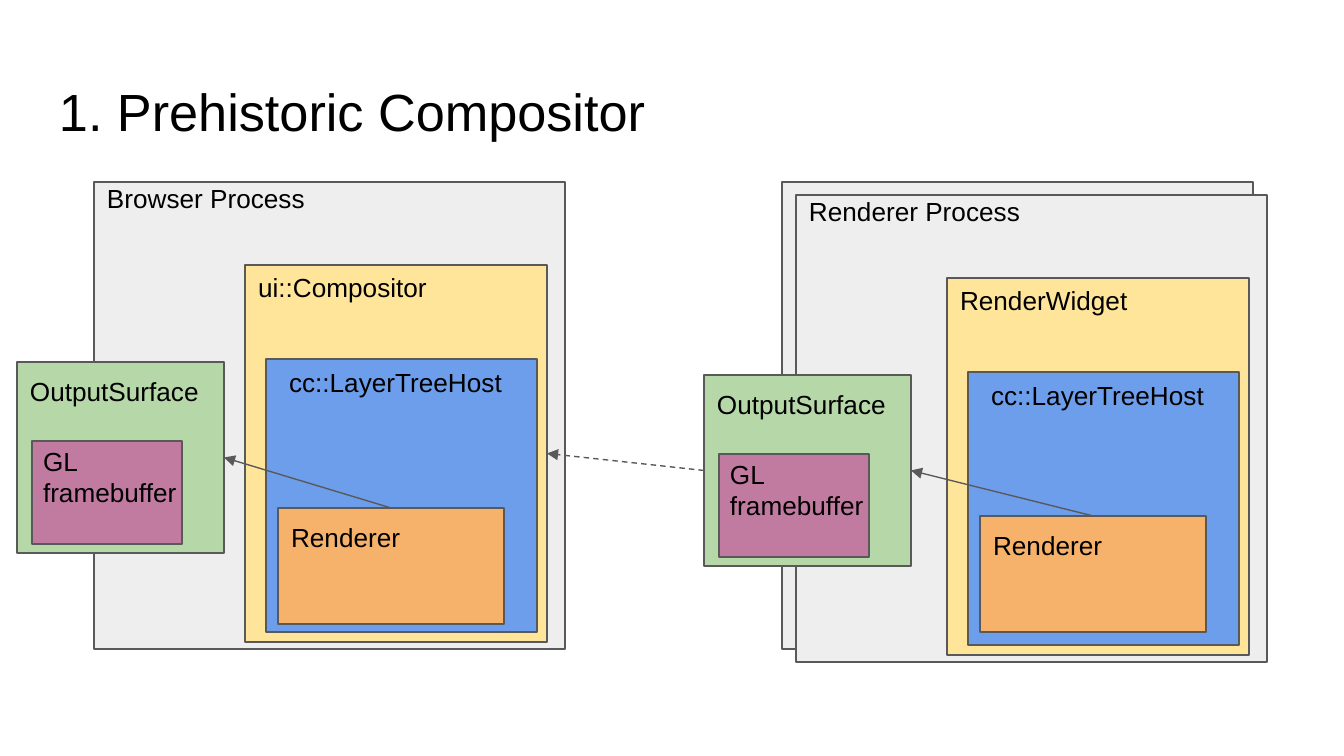
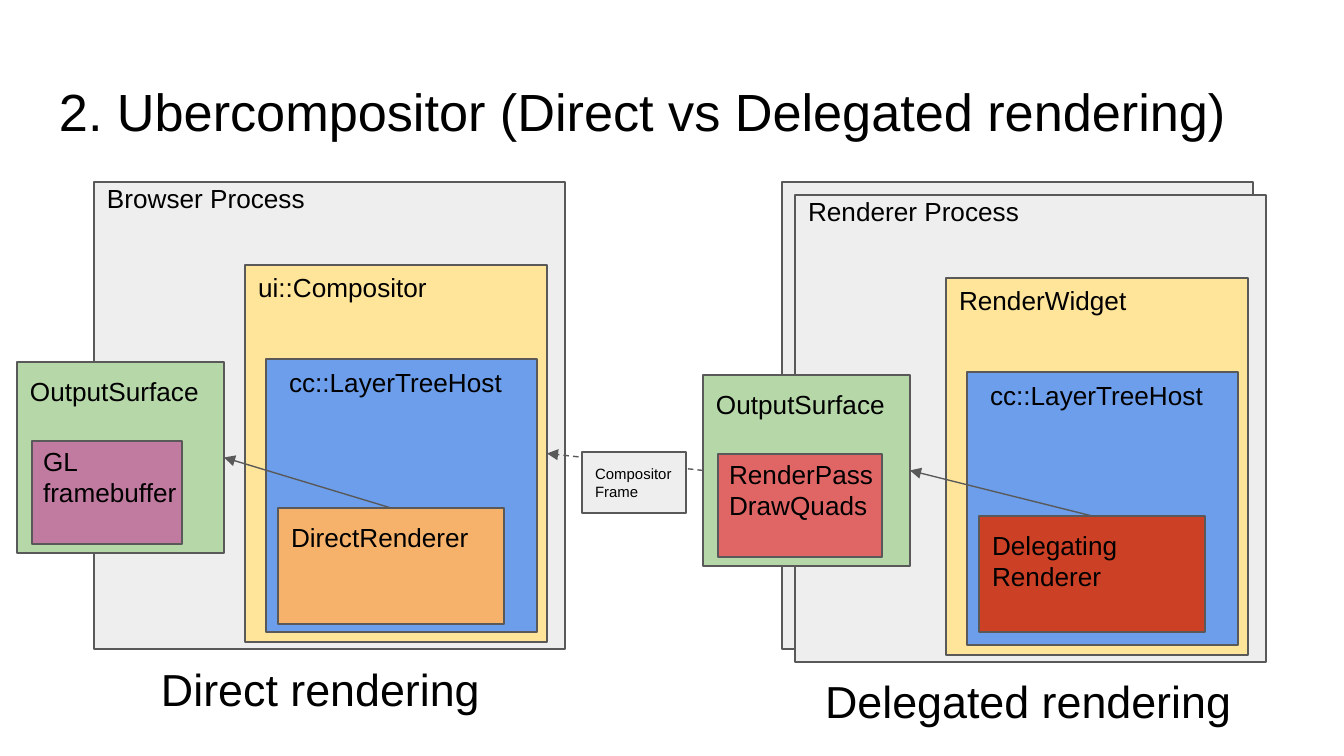
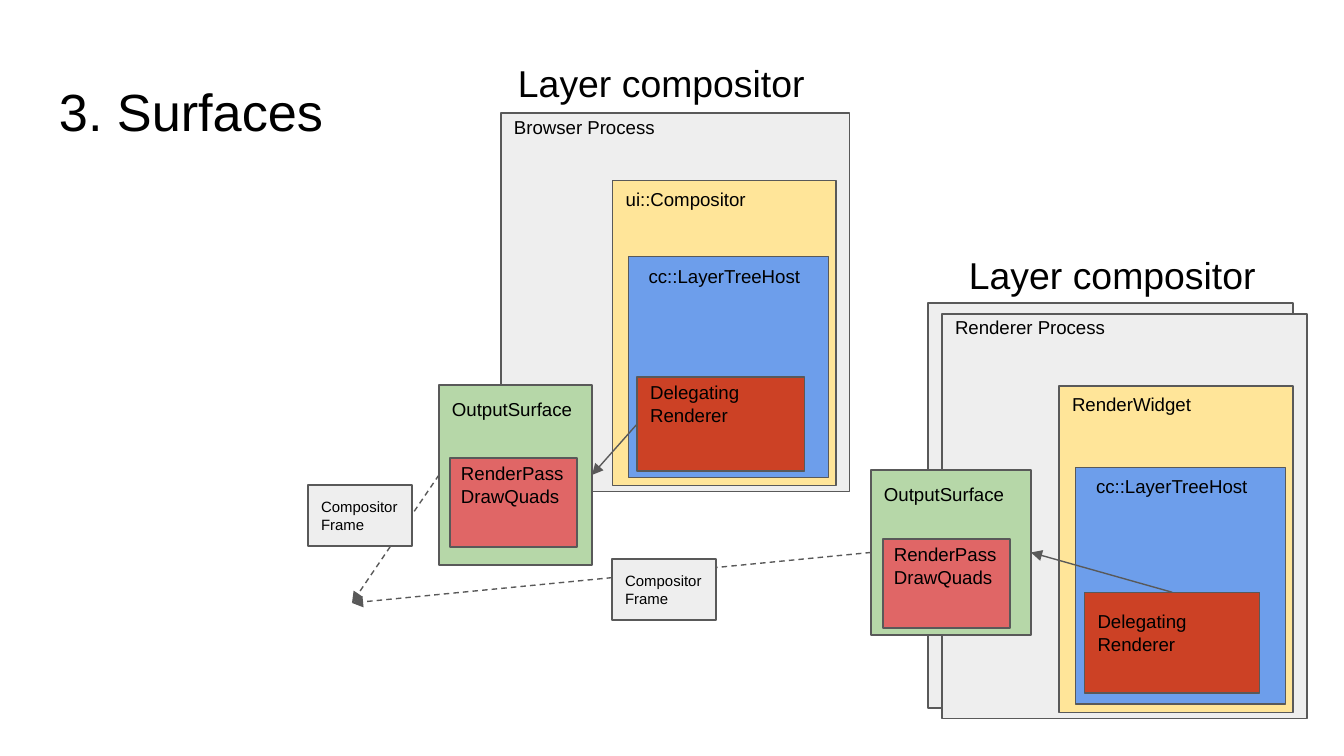
from lxml.etree import SubElement
from pptx import Presentation
from pptx.dml.color import RGBColor
from pptx.enum.dml import MSO_LINE
from pptx.enum.shapes import MSO_CONNECTOR, MSO_SHAPE
from pptx.enum.text import MSO_ANCHOR, MSO_AUTO_SIZE, PP_ALIGN
from pptx.oxml.ns import qn
from pptx.util import Emu, Pt

EMU_PER_PIXEL = 914400 / 134.4
INSET = 13
FONT = "Arial"

BLACK = RGBColor(0x00, 0x00, 0x00)
OUTLINE = RGBColor(0x59, 0x59, 0x59)
GRAY = RGBColor(0xEE, 0xEE, 0xEE)
YELLOW = RGBColor(0xFF, 0xE5, 0x99)
BLUE = RGBColor(0x6D, 0x9E, 0xEB)
GREEN = RGBColor(0xB6, 0xD7, 0xA8)
PURPLE = RGBColor(0xC2, 0x7B, 0xA0)
ORANGE = RGBColor(0xF6, 0xB2, 0x6B)
PINK = RGBColor(0xE0, 0x66, 0x66)
RED = RGBColor(0xCC, 0x41, 0x25)

TOP, LEFT, RIGHT = 0, 1, 3
PROCESS_SIZE = (471, 467)
FRAMEBUFFER = ("GL framebuffer", PURPLE)
QUADS = ("RenderPass\nDrawQuads", PINK)
DELEGATING = ("Delegating\nRenderer", RED)


def px(length):
    return Emu(round(length * EMU_PER_PIXEL))


def write(shape, text, size, anchor=MSO_ANCHOR.TOP, top=INSET):
    frame = shape.text_frame
    frame.word_wrap = True
    frame.auto_size = MSO_AUTO_SIZE.NONE
    frame.vertical_anchor = anchor
    frame.margin_left = frame.margin_right = frame.margin_bottom = px(INSET)
    frame.margin_top = px(top)
    frame.text = text
    for paragraph in frame.paragraphs:
        paragraph.alignment = PP_ALIGN.LEFT
        paragraph.font.name = FONT
        paragraph.font.size = Pt(size)
        paragraph.font.color.rgb = BLACK


def add_page(deck, title):
    page = deck.slides.add_slide(deck.slide_layouts[5])
    box = page.shapes.title
    box.left, box.top, box.width, box.height = map(px, (46, 66, 1252, 85))
    write(box, title, 28)
    return page


def add_panel(page, place, color):
    panel = page.shapes.add_shape(MSO_SHAPE.RECTANGLE, *map(px, place))
    panel.shadow.inherit = False
    panel.fill.solid()
    panel.fill.fore_color.rgb = color
    panel.line.color.rgb = OUTLINE
    panel.line.width = Pt(0.75)
    return panel


def add_label(page, place, text, size):
    write(page.shapes.add_textbox(*map(px, place)), text, size)


def add_arrow(page, source, source_site, target, target_site=None, dashed=False):
    end = (0, 0) if target_site is not None else map(px, target)
    arrow = page.shapes.add_connector(MSO_CONNECTOR.STRAIGHT, 0, 0, *end)
    arrow.begin_connect(source, source_site)
    if target_site is not None:
        arrow.end_connect(target, target_site)
    arrow.line.color.rgb = OUTLINE
    arrow.line.width = Pt(0.75)
    if dashed:
        arrow.line.dash_style = MSO_LINE.DASH
    SubElement(arrow.line._get_or_add_ln(), qn("a:tailEnd"), type="triangle")
    SubElement(arrow._element.spPr, qn("a:effectLst"))


def add_process(page, origin, names, renderer, renderer_top, scale=(1, 1), size=14, text_top=INSET):
    def place(x, y, width, height):
        return (origin[0] + x * scale[0], origin[1] + y * scale[1],
                width * scale[0], height * scale[1])

    process_name, owner_name = names
    renderer_name, renderer_color = renderer
    add_panel(page, place(0, 0, *PROCESS_SIZE), GRAY)
    add_label(page, place(0, -13, 453, 58), process_name, size)
    owner = add_panel(page, place(151, 83, 302, 377), YELLOW)
    add_label(page, place(151, 76, 302, 50), owner_name, size)
    add_panel(page, place(172, 177, 271, 273), BLUE)
    add_label(page, place(182, 171, 262, 70), "cc::LayerTreeHost", size)
    box = add_panel(page, place(184, renderer_top, 226, 116), renderer_color)
    write(box, renderer_name, size, top=text_top)
    return owner, box


def add_output(page, place, inner_place, content, size=14):
    text, color = content
    left, top, width, _ = place
    surface = add_panel(page, place, GREEN)
    add_label(page, (left, top, width, 70), "OutputSurface", size)
    add_panel(page, inner_place, color)
    inner_left, inner_top, _, inner_height = inner_place
    label_width = 175 if size == 14 else 134
    add_label(page, (inner_left - 2, inner_top - 9, label_width, inner_height - 17), text, size)
    return surface


def add_frame_card(page, left, top):
    card = add_panel(page, (left, top, 104, 61), GRAY)
    write(card, "CompositorFrame", 8, MSO_ANCHOR.MIDDLE)


def add_process_pair(page, renderer_left, browser_renderer, remote_renderer, remote_content, inner_width):
    add_panel(page, (782, 182, *PROCESS_SIZE), GRAY)
    compositor, local = add_process(
        page, (94, 182), ("Browser Process", "ui::Compositor"), browser_renderer, 326)
    _, remote = add_process(
        page, (renderer_left, 195), ("Renderer Process", "RenderWidget"), remote_renderer, 321)
    local_output = add_output(page, (17, 362, 207, 191), (32, 441, 150, 103), FRAMEBUFFER)
    output_left = renderer_left - 92
    remote_output = add_output(
        page, (output_left, 375, 207, 191), (output_left + 15, 454, inner_width, 103), remote_content)
    add_arrow(page, local, TOP, local_output, RIGHT)
    add_arrow(page, remote, TOP, remote_output, RIGHT)
    add_arrow(page, remote_output, LEFT, compositor, RIGHT, dashed=True)


def add_prehistoric(deck):
    page = add_page(deck, "1. Prehistoric Compositor")
    renderer = ("Renderer", ORANGE)
    add_process_pair(page, 796, renderer, renderer, FRAMEBUFFER, 150)


def add_ubercompositor(deck):
    page = add_page(deck, "2. Ubercompositor (Direct vs Delegated rendering)")
    add_process_pair(page, 795, ("DirectRenderer", ORANGE), DELEGATING, QUADS, 164)
    add_label(page, (148, 649, 363, 78), "Direct rendering", 24)
    add_label(page, (812, 661, 437, 78), "Delegated rendering", 24)
    add_frame_card(page, 582, 452)


def add_surfaces(deck):
    page = add_page(deck, "3. Surfaces")
    add_panel(page, (928, 303, 365, 405), GRAY)
    _, local = add_process(
        page, (501, 113), ("Browser Process", "ui::Compositor"), DELEGATING, 326,
        scale=(0.74, 0.81), size=10, text_top=4)
    _, remote = add_process(
        page, (942, 314), ("Renderer Process", "RenderWidget"), DELEGATING, 321,
        scale=(0.775, 0.867), size=10, text_top=18)
    remote_output = add_output(page, (871, 470, 160, 165), (883, 539, 127, 89), QUADS, 10)
    local_output = add_output(page, (439, 385, 153, 180), (450, 458, 127, 89), QUADS, 10)
    add_arrow(page, local, LEFT, local_output, RIGHT)
    add_arrow(page, remote, TOP, remote_output, RIGHT)
    for output in (remote_output, local_output):
        add_arrow(page, output, LEFT, (352, 603), dashed=True)
    for left, top in ((505, 47), (956, 239)):
        add_label(page, (left, top, 325, 78), "Layer compositor", 20)
    for left, top in ((612, 559), (308, 485)):
        add_frame_card(page, left, top)


def main():
    deck = Presentation()
    deck.slide_width, deck.slide_height = px(1344), px(756)
    add_prehistoric(deck)
    add_ubercompositor(deck)
    add_surfaces(deck)
    deck.save("out.pptx")


main()
